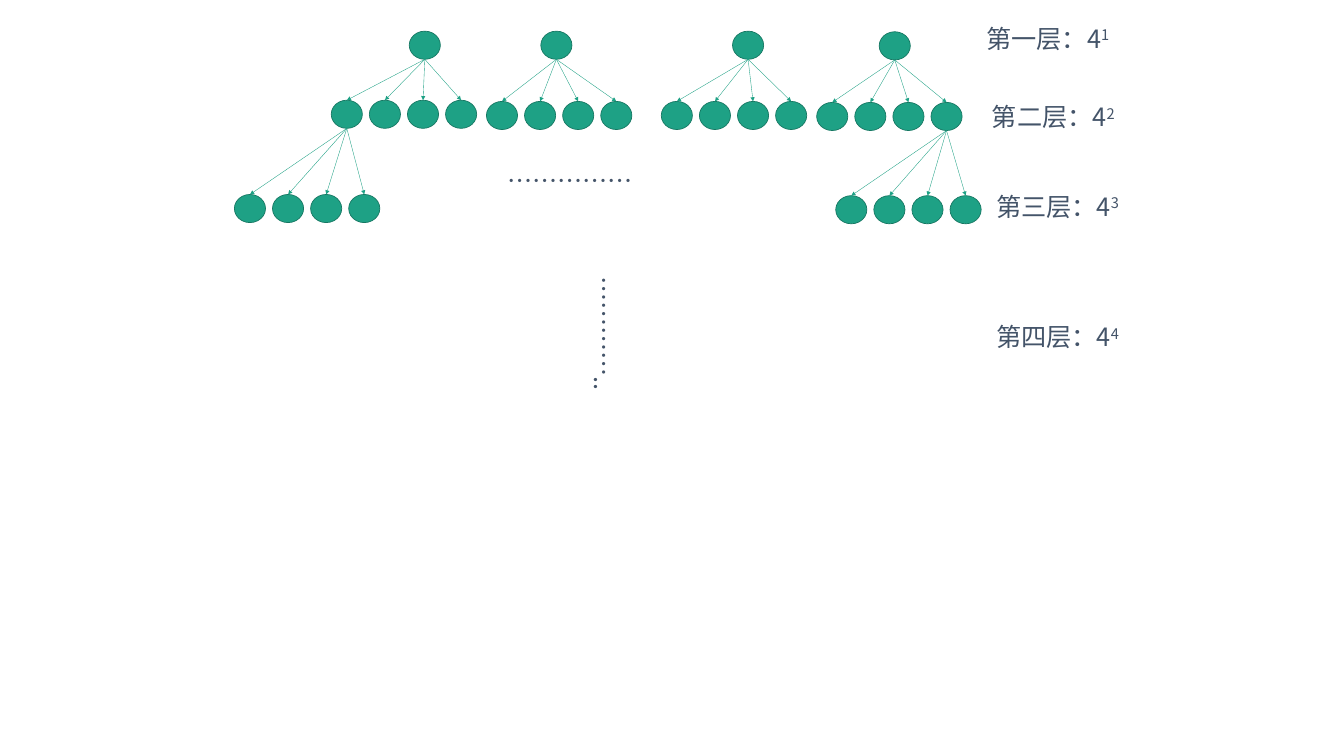
from dataclasses import dataclass

from lxml import etree
from pptx import Presentation
from pptx.dml.color import RGBColor
from pptx.enum import lang, shapes, text
from pptx.oxml import ns
from pptx.util import Cm, Pt


@dataclass(frozen=True)
class Theme:
    node: RGBColor = RGBColor(0x1E, 0xA1, 0x85)
    outline: RGBColor = RGBColor(0x16, 0x77, 0x62)
    ink: RGBColor = RGBColor(0x44, 0x54, 0x69)
    font: str = "Noto Sans CJK SC"
    size: Pt = Pt(36)
    outline_width: Pt = Pt(1)
    arrow_width: Pt = Pt(0.5)


THEME = Theme()

# All lengths are in centimetres.
SLIDE_W, SLIDE_H = 67.72, 38.1
NODE_W, NODE_H = 1.57, 1.42
BRANCHES, NODE_STEP = 4, 1.92

# Root position, then the position of its first child
TREES = [
    ((20.62, 1.57), (16.69, 5.05)),
    ((27.25, 1.57), (24.51, 5.11)),
    ((36.91, 1.57), (33.32, 5.11)),
    ((44.30, 1.60), (41.15, 5.16)),
]
# Tree, child that branches again, position of its first child
THIRD_LEVEL = [
    (0, 0, (11.81, 9.80)),
    (3, 3, (42.11, 9.86)),
]
LABEL_W, LABEL_H = 15.9, 1.8
# Label, exponent, left, top
LEVEL_LABELS = [
    ("第一层：4", "1", 49.45, 1.04),
    ("第二层：4", "2", 49.73, 4.98),
    ("第三层：4", "3", 49.94, 9.50),
    ("第四层：4", "4", 49.94, 16.08),
]
# Dots, left, top, width, height, vertical
ELLIPSES = [
    ("……………", 25.30, 8.20, 12.40, 1.80, False),
    ("…………..", 29.44, 13.67, 2.06, 8.59, True),
]


def add_node(s, pos):
    left, top = pos
    sp = s.shapes.add_shape(shapes.MSO_SHAPE.OVAL, Cm(left), Cm(top), Cm(NODE_W), Cm(NODE_H))
    sp.shadow.inherit = False
    sp.fill.solid()
    sp.fill.fore_color.rgb = THEME.node
    sp.line.color.rgb = THEME.outline
    sp.line.width = THEME.outline_width


def add_arrow(s, parent, child):
    """Link the bottom of the parent node to the top of the child node."""
    mid = NODE_W / 2
    line = s.shapes.add_connector(
        shapes.MSO_CONNECTOR.STRAIGHT,
        Cm(parent[0] + mid), Cm(parent[1] + NODE_H), Cm(child[0] + mid), Cm(child[1]))
    line.line.color.rgb = THEME.node
    line.line.width = THEME.arrow_width
    etree.SubElement(line.line._get_or_add_ln(), ns.qn("a:tailEnd"), type="triangle")
    etree.SubElement(line._element.spPr, ns.qn("a:effectLst"))


def add_branches(s, parent, first_child):
    """Add the row of children and return their positions."""
    left, top = first_child
    children = [(left + i * NODE_STEP, top) for i in range(BRANCHES)]
    for child in children:
        add_node(s, child)
        add_arrow(s, parent, child)
    return children


def add_text(s, content, left, top, width, height, exponent="", vertical=False):
    box = s.shapes.add_textbox(Cm(left), Cm(top), Cm(width), Cm(height))
    tf = box.text_frame
    tf.word_wrap = True
    tf.vertical_anchor = text.MSO_ANCHOR.MIDDLE
    if vertical:
        tf._txBody.bodyPr.set("vert", "eaVert")
    p = tf.paragraphs[0]
    p.font.size = THEME.size
    p.font.name = THEME.font
    p.font.color.rgb = THEME.ink
    for part in filter(None, (content, exponent)):
        r = p.add_run()
        r.text = part
        r.font.language_id = lang.MSO_LANGUAGE_ID.SIMPLIFIED_CHINESE
        etree.SubElement(r.font._element, ns.qn("a:ea"), typeface=THEME.font)
    if exponent:
        r.font._element.set("baseline", "30000")


def main():
    prs = Presentation()
    prs.slide_width, prs.slide_height = Cm(SLIDE_W), Cm(SLIDE_H)
    s = prs.slides.add_slide(prs.slide_layouts[6])

    second_level = []
    for root, first_child in TREES:
        add_node(s, root)
        second_level.append(add_branches(s, root, first_child))
    for tree, child, first_child in THIRD_LEVEL:
        add_branches(s, second_level[tree][child], first_child)

    for dots, left, top, width, height, vertical in ELLIPSES:
        add_text(s, dots, left, top, width, height, vertical=vertical)
    for label, exponent, left, top in LEVEL_LABELS:
        add_text(s, label, left, top, LABEL_W, LABEL_H, exponent)

    prs.save("out.pptx")


if __name__ == "__main__":
    main()
